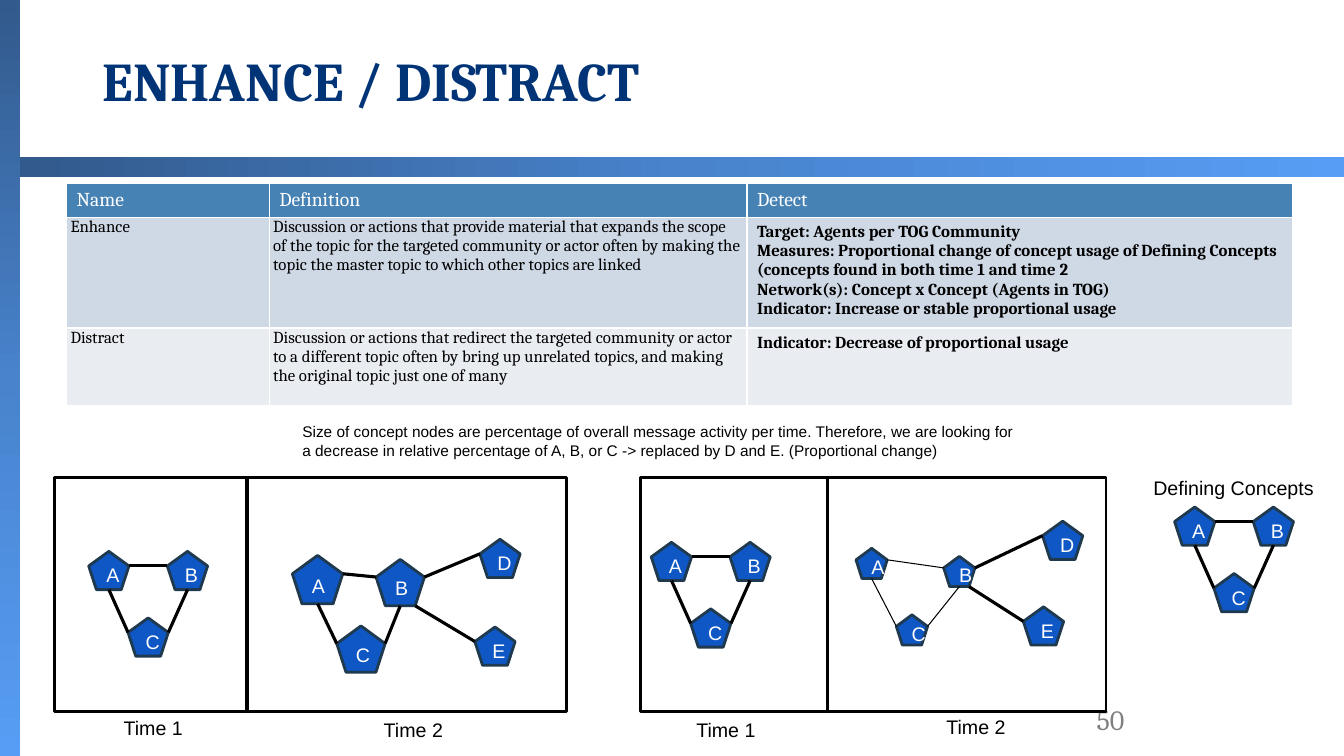
import copy

import pptx
import pptx.dml.color
import pptx.enum.shapes
import pptx.enum.text
import pptx.oxml
import pptx.oxml.ns
import pptx.util
from pptx.util import Inches

RGBColor = pptx.dml.color.RGBColor
MSO_SHAPE = pptx.enum.shapes.MSO_SHAPE
PP_ALIGN = pptx.enum.text.PP_ALIGN
ANCHOR = pptx.enum.text.MSO_ANCHOR

BLACK = RGBColor(0x00, 0x00, 0x00)
WHITE = RGBColor(0xFF, 0xFF, 0xFF)
GRAY = RGBColor(0x7F, 0x7F, 0x7F)
TITLE_NAVY = RGBColor(0x00, 0x34, 0x77)
HEADER_BLUE = RGBColor(0x46, 0x82, 0xB4)
ROW_FILLS = [RGBColor(0xCF, 0xD8, 0xE5), RGBColor(0xE9, 0xED, 0xF2)]
NODE_BLUE = RGBColor(0x0E, 0x57, 0xC4)
NODE_EDGE = RGBColor(0x1F, 0x39, 0x4F)
BAR_STOPS = [
    (0, RGBColor(0x32, 0x5A, 0x8C)),
    (0.5, RGBColor(0x48, 0x83, 0xCC)),
    (1, RGBColor(0x57, 0x9D, 0xF5)),
]

HEADINGS = ["Name", "Definition", "Detect"]
TACTICS = [
    ("Enhance",
     "Discussion or actions that provide material that expands the scope of the topic for the "
     "targeted community or actor often by making the topic the master topic to which other "
     "topics are linked",
     "Target: Agents per TOG Community\n"
     "Measures: Proportional change of concept usage of Defining Concepts (concepts found in "
     "both time 1 and time 2\n"
     "Network(s): Concept x Concept (Agents in TOG)\n"
     "Indicator: Increase or stable proportional usage"),
    ("Distract",
     "Discussion or actions that redirect the targeted community or actor to a different topic "
     "often by bring up unrelated topics, and making the original topic just one of many",
     "Indicator: Decrease of proportional usage"),
]
NOTE = ("Size of concept nodes are percentage of overall message activity per time. Therefore, "
        "we are looking for a decrease in relative percentage of A, B, or C -> replaced by D "
        "and E. (Proportional change)")

NODE = (0.4, 0.38)
SMALL = (0.31, 0.3)
LARGE = (0.48, 0.46)
TRIANGLE = {"A": (0, 0, *NODE), "B": (0.78, 0, *NODE), "C": (0.39, 0.66, *NODE)}
ENHANCED = {
    "A": (2.36, 0.77, 0.5, 0.48), "B": (3.19, 0.81, *LARGE), "C": (2.8, 1.47, *LARGE),
    "D": (4.22, 0.61, *NODE), "E": (4.17, 1.48, *NODE),
}
DISTRACTED = {
    "A": (2.14, 0.7, *SMALL), "B": (3.01, 0.78, *SMALL), "C": (2.54, 1.36, *SMALL),
    "D": (3.99, 0.43, *NODE), "E": (3.8, 1.28, *NODE),
}
PENTAGON_SITES = {
    "left": (0, 0.38), "right": (1, 0.38), "bottom": (0.5, 1), "lower right": (0.81, 1),
}
LINKS = [
    ("C", "left", "A", "bottom"), ("C", "right", "B", "bottom"), ("B", "left", "A", "right"),
    ("B", "right", "D", "left"), ("B", "lower right", "E", "left"),
]


def style_text(frame, size, color, font="Arial", bold=False, align=None):
    for paragraph in frame.paragraphs:
        paragraph.alignment = align
        for run in paragraph.runs:
            run.font.size = pptx.util.Pt(size)
            run.font.name = font
            run.font.bold = bold
            run.font.color.rgb = color


def add_text(shapes, box, text, size, color=BLACK, wrap=True, anchor=ANCHOR.TOP, **style):
    frame = shapes.add_textbox(*map(Inches, box)).text_frame
    frame.word_wrap = wrap
    frame.vertical_anchor = anchor
    frame.text = text
    style_text(frame, size, color, **style)
    return frame


def add_line(shapes, start, end, weight=2.25):
    line = shapes.add_connector(
        pptx.enum.shapes.MSO_CONNECTOR.STRAIGHT, *map(Inches, (*start, *end)))
    line.line.color.rgb = BLACK
    line.line.width = pptx.util.Pt(weight)
    line._element.spPr.append(pptx.oxml.parse_xml(
        f'<a:effectLst {pptx.oxml.ns.nsdecls("a")}/>'))


def add_outlined(shapes, kind, box, edge):
    shape = shapes.add_shape(kind, *map(Inches, box))
    shape.shadow.inherit = False
    shape.line.color.rgb = edge
    shape.line.width = pptx.util.Pt(2)
    return shape


def add_bar(shapes, box, angle):
    bar = shapes.add_shape(MSO_SHAPE.RECTANGLE, *map(Inches, box))
    bar.shadow.inherit = False
    bar.line.fill.background()
    bar.fill.gradient()
    bar.fill.gradient_angle = angle
    stop_list = bar._element.spPr.find(".//" + pptx.oxml.ns.qn("a:gsLst"))
    stop_list.insert(1, copy.deepcopy(stop_list[0]))
    for stop, (position, color) in zip(bar.fill.gradient_stops, BAR_STOPS):
        stop.position = position
        stop.color.rgb = color


def add_frame(shapes, width, height):
    add_bar(shapes, (0, 0, 0.2, height), 270)
    add_bar(shapes, (0.2, 1.56, width - 0.2, 0.2), 0)
    title = add_text(shapes, (0.92, 0.16, 11.5, 1.34), "ENHANCE / DISTRACT", 39, TITLE_NAVY,
                     anchor=ANCHOR.MIDDLE, font="Cambria", bold=True)
    title.paragraphs[0].line_spacing = 0.9
    add_text(shapes, (9.44, 6.94, 1.81, 0.4), "50", 20, GRAY,
             anchor=ANCHOR.MIDDLE, font="Cambria", align=PP_ALIGN.RIGHT)


def fill_cell(cell, text, fill, size, color, bold=False):
    cell.text_frame.text = text
    style_text(cell.text_frame, size, color, font="Cambria", bold=bold)
    properties = cell._tc.get_or_add_tcPr()
    for side in ("lnL", "lnR", "lnT", "lnB"):
        properties.append(pptx.oxml.parse_xml(
            f'<a:{side} {pptx.oxml.ns.nsdecls("a")} w="12700"><a:solidFill>'
            f'<a:srgbClr val="{WHITE}"/></a:solidFill></a:{side}>'))
    cell.fill.solid()
    cell.fill.fore_color.rgb = fill


def add_tactics_table(shapes, box):
    table = shapes.add_table(len(TACTICS) + 1, len(HEADINGS), *map(Inches, box)).table
    for column, width in zip(table.columns, (2.01, 4.74, 5.41)):
        column.width = Inches(width)
    for row, height in zip(table.rows, (0.32, 1.06, 0.77)):
        row.height = Inches(height)
    for column, heading in enumerate(HEADINGS):
        fill_cell(table.cell(0, column), heading, HEADER_BLUE, 14, WHITE)
    for row, (tactic, fill) in enumerate(zip(TACTICS, ROW_FILLS), 1):
        for column, text in enumerate(tactic):
            cell = table.cell(row, column)
            is_detect = column == 2
            fill_cell(cell, text, fill, 12, BLACK, bold=is_detect)
            if not is_detect:
                cell.margin_left = cell.margin_right = Inches(0.04)
                cell.margin_top = cell.margin_bottom = 0


def add_network(shapes, left, top, nodes, core_weight=2.25):
    def site(name, side):
        x, y, width, height = nodes[name]
        across, down = PENTAGON_SITES[side]
        return left + x + across * width, top + y + down * height

    for name, (x, y, width, height) in nodes.items():
        node = add_outlined(shapes, MSO_SHAPE.REGULAR_PENTAGON,
                            (left + x, top + y, width, height), NODE_EDGE)
        node.fill.solid()
        node.fill.fore_color.rgb = NODE_BLUE
        node.text_frame.text = name
        node.text_frame.vertical_anchor = ANCHOR.MIDDLE
        style_text(node.text_frame, 14, WHITE, align=PP_ALIGN.CENTER)
    for source, source_side, target, target_side in LINKS:
        if target in nodes:
            weight = core_weight if target in TRIANGLE else 2.25
            add_line(shapes, site(source, source_side), site(target, target_side), weight)


def add_comparison(shapes, box, split, triangle, later, labels, core_weight=2.25):
    left, top, width, height = box
    add_outlined(shapes, MSO_SHAPE.RECTANGLE, box, BLACK).fill.background()
    add_line(shapes, (left + split, top), (left + split, top + height))
    add_network(shapes, left + triangle[0], top + triangle[1], TRIANGLE)
    add_network(shapes, left, top, later, core_weight)
    for caption, (x, y) in zip(("Time 1", "Time 2"), labels):
        add_text(shapes, (left + x, top + y, 0.8, 0.34), caption, 14,
                 wrap=False, align=PP_ALIGN.CENTER)


def add_defining_concepts(shapes, left, top):
    group = shapes.add_group_shape().shapes
    add_text(group, (left, top, 1.8, 0.34), "Defining Concepts", 14, wrap=False)
    add_network(group, left + 0.31, top + 0.36, TRIANGLE)


def main():
    deck = pptx.Presentation()
    deck.slide_width, deck.slide_height = Inches(13.33), Inches(7.5)
    shapes = deck.slides.add_slide(deck.slide_layouts[6]).shapes
    add_frame(shapes, 13.33, 7.5)
    add_tactics_table(shapes, (0.66, 1.82, 12.16, 2.15))
    add_text(shapes, (2.9, 4.14, 7.35, 0.47), NOTE, 11)
    add_comparison(shapes, (0.54, 4.74, 5.08, 2.32), 1.91, (0.34, 0.73), ENHANCED,
                   [(0.58, 2.31), (3.16, 2.33)])
    add_comparison(shapes, (6.35, 4.74, 4.62, 2.32), 1.86, (0.11, 0.64), DISTRACTED,
                   [(0.45, 2.33), (2.93, 2.3)], core_weight=0.75)
    add_defining_concepts(shapes, 11.34, 4.67)
    deck.save("out.pptx")


if __name__ == "__main__":
    main()
